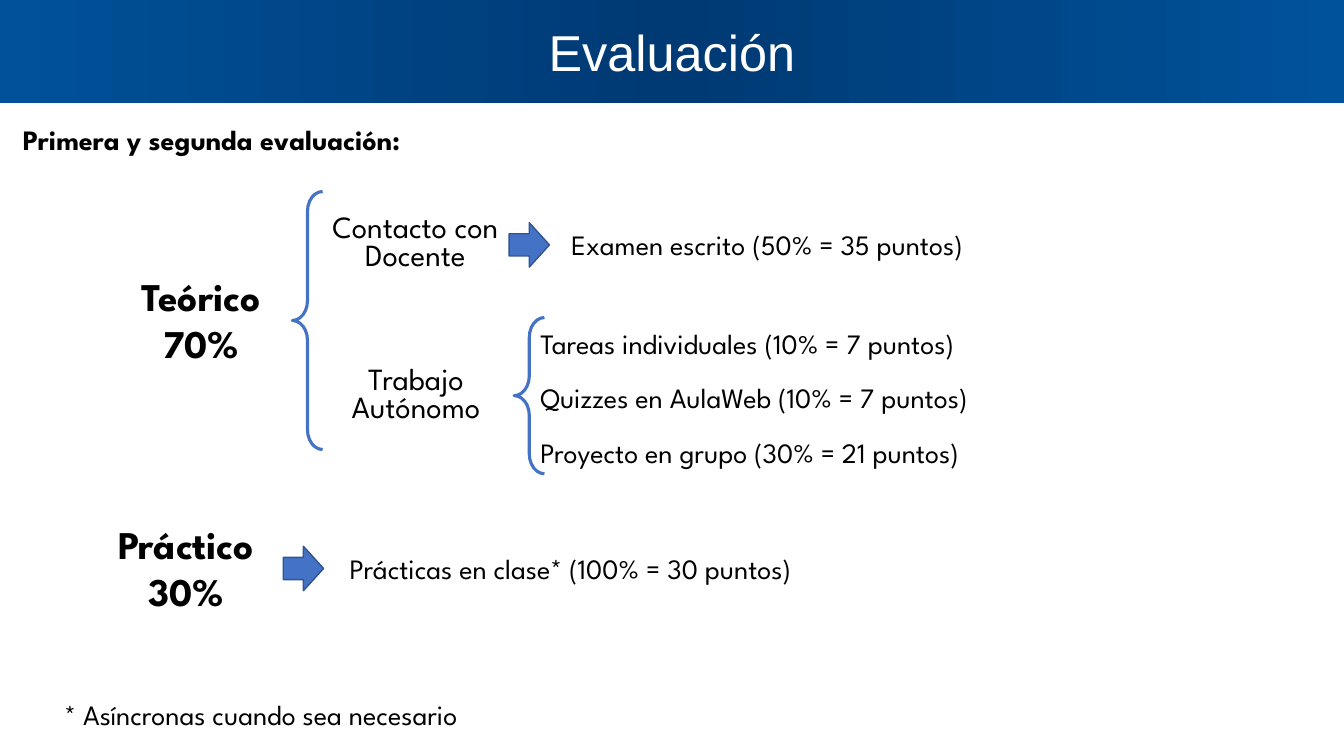
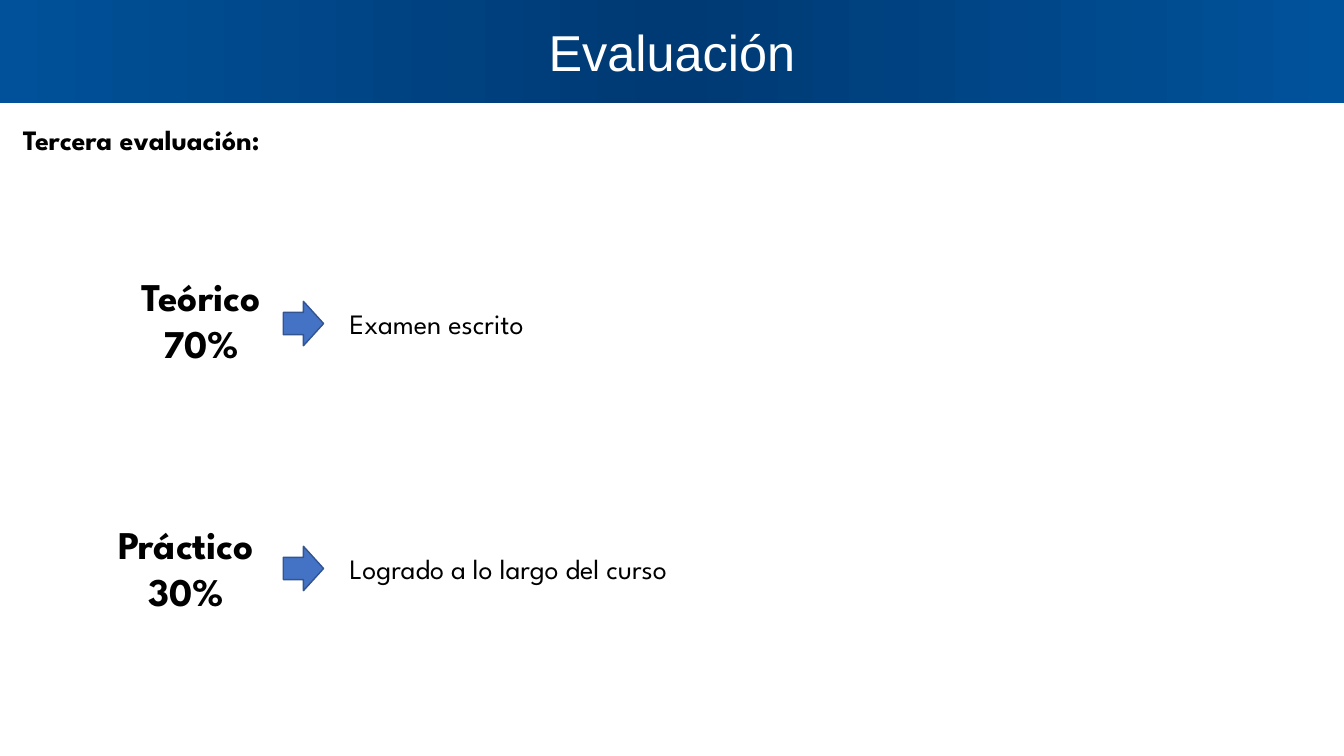
from copy import deepcopy
from pptx import Presentation
from pptx import util as u
from pptx.dml import color
from pptx.enum import shapes, text
from pptx.oxml import ns

COLORS = {"edge_left": "00529B", "middle": "003A74", "edge_right": "005199",
          "white": "FFFFFF", "black": "000000", "blue": "4472C4", "outline": "325491"}
BODY, TITLE_FONT = "League Spartan", "Arial"
WIDTH, HEIGHT = 13.33, 7.5
ROW_H, ARROW_W = 0.44, 0.4
ARROW_GAP = 0.16
BRANCH_X, TASK_X = 2.81, 5.26
TASK_Y, TASK_STEP = 3.19, 0.54

TITLE = "Evaluación"
PARTS = [(["Teórico", "70%"], 1.03, 2.65), (["Práctico", "30%"], 0.88, 5.11)]
SLIDES = [
    {
        "heading": "Primera y segunda evaluación:",
        "braces": [(2.9, 1.9, 2.56), (5.1, 3.15, 1.55)],
        "groups": [(["Contacto con Docente"], 3.09, 2.1, 2.06, 0.96),
                   (["Trabajo", "Autónomo"], 2.9, 3.61, 2.45, 0.68)],
        "arrows": [("Examen escrito (50% = 35 puntos)", 5.05, 2.21, 0.12),
                   ("Prácticas en clase* (100% = 30 puntos)", BRANCH_X, 5.42, ARROW_GAP)],
        "tasks": ["Tareas individuales (10% = 7 puntos)",
                  "Quizzes en AulaWeb (10% = 7 puntos)",
                  "Proyecto en grupo (30% = 21 puntos)"],
        "note": "* Asíncronas cuando sea necesario",
    },
    {
        "heading": "Tercera evaluación:",
        "arrows": [("Examen escrito", BRANCH_X, 2.99, ARROW_GAP),
                   ("Logrado a lo largo del curso", BRANCH_X, 5.42, ARROW_GAP)],
    },
]


def rgb(name):
    return color.RGBColor.from_string(COLORS[name])


def write(tf, lines, size=20, font=BODY, ink="black", bold=False, center=False, spacing=None):
    tf.word_wrap = True
    for i, line in enumerate(lines):
        p = tf.paragraphs[0] if i == 0 else tf.add_paragraph()
        p.alignment = text.PP_ALIGN.CENTER if center else text.PP_ALIGN.LEFT
        if spacing:
            p.line_spacing = u.Pt(spacing)
        r = p.add_run()
        r.text = line
        r.font.size, r.font.name, r.font.bold = u.Pt(size), font, bold
        r.font.color.rgb = rgb(ink)


def add_text(s, lines, x, y, w, h=ROW_H, **style):
    tf = s.shapes.add_textbox(*map(u.Inches, (x, y, w, h))).text_frame
    write(tf, lines, **style)
    tf.auto_size = text.MSO_AUTO_SIZE.SHAPE_TO_FIT_TEXT


def add_shape(s, kind, x, y, w, h):
    sp = s.shapes.add_shape(kind, *map(u.Inches, (x, y, w, h)))
    sp.shadow.inherit = False
    return sp


def add_band(s):
    sp = add_shape(s, shapes.MSO_SHAPE.RECTANGLE, 0, 0, WIDTH, 1.02)
    sp.line.fill.background()
    sp.fill.gradient()
    sp.fill.gradient_angle = 180
    stops = sp._element.spPr.find(".//" + ns.qn("a:gsLst"))
    stops.append(deepcopy(stops[0]))
    for i, (stop, name) in enumerate(zip(sp.fill.gradient_stops,
                                         ("edge_left", "middle", "edge_right"))):
        stop.position = i / 2
        stop.color.rgb = rgb(name)
    sp.text_frame.vertical_anchor = text.MSO_ANCHOR.MIDDLE
    write(sp.text_frame, [TITLE], size=36, font=TITLE_FONT, ink="white", center=True)


def add_brace(s, x, y, h):
    sp = add_shape(s, shapes.MSO_SHAPE.LEFT_BRACE, x, y, 0.3, h)
    sp.adjustments[0], sp.adjustments[1] = 0.655, 0.5
    sp.fill.background()
    sp.line.color.rgb, sp.line.width = rgb("blue"), u.Pt(2.25)


def add_arrow(s, label, x, y, gap):
    sp = add_shape(s, shapes.MSO_SHAPE.RIGHT_ARROW, x, y, ARROW_W, ROW_H)
    sp.fill.solid()
    sp.fill.fore_color.rgb = rgb("blue")
    sp.line.color.rgb, sp.line.width = rgb("outline"), u.Pt(1)
    add_text(s, [label], x + ARROW_W + gap, y, 5.64)


def build(prs, data):
    s = prs.slides.add_slide(prs.slide_layouts[6])
    add_band(s)
    add_text(s, [data["heading"]], 0.13, 1.17, 4.74, bold=True)
    for lines, x, y in PARTS:
        add_text(s, lines, x, y, 1.93, 1.04, size=28, bold=True, center=True)
    for brace in data.get("braces", []):
        add_brace(s, *brace)
    for group in data.get("groups", []):
        add_text(s, *group, size=22, center=True, spacing=20)
    for arrow in data["arrows"]:
        add_arrow(s, *arrow)
    for i, task in enumerate(data.get("tasks", [])):
        add_text(s, [task], TASK_X, TASK_Y + i * TASK_STEP, 5.98)
    if "note" in data:
        add_text(s, [data["note"]], 0.54, 6.87, 5.64)


def main():
    prs = Presentation()
    prs.slide_width, prs.slide_height = u.Inches(WIDTH), u.Inches(HEIGHT)
    for data in SLIDES:
        build(prs, data)
    prs.save("out.pptx")


if __name__ == "__main__":
    main()
